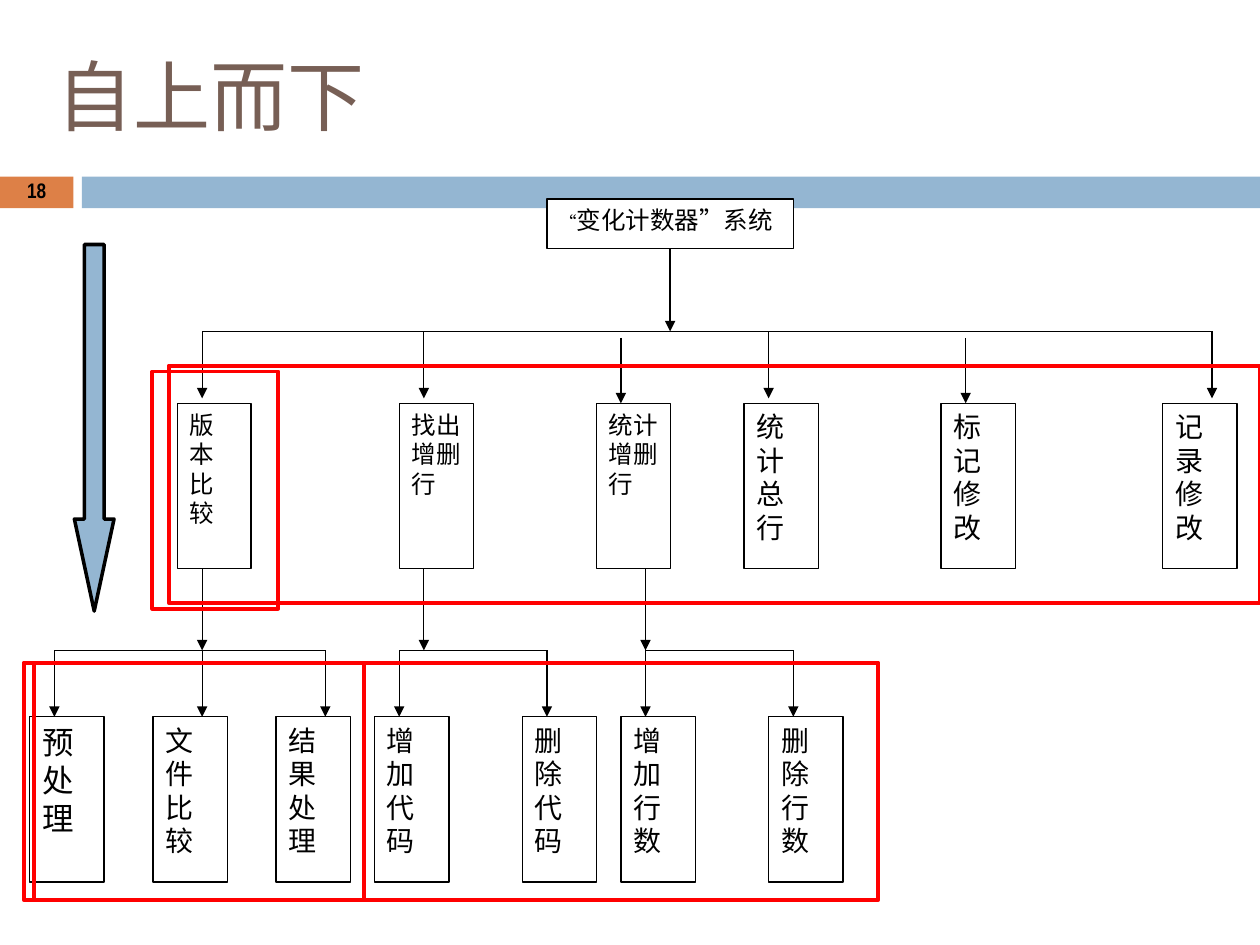
from lxml import etree
from pptx import Presentation
from pptx import util as u
from pptx.dml.color import RGBColor
from pptx.enum import shapes, text
from pptx.oxml import ns

BLACK = RGBColor(0x00, 0x00, 0x00)
WHITE = RGBColor(0xFF, 0xFF, 0xFF)
RED = RGBColor(0xFF, 0x00, 0x00)
BLUE = RGBColor(0x94, 0xB6, 0xD2)
ORANGE = RGBColor(0xDD, 0x80, 0x47)
BROWN = RGBColor(0x77, 0x5F, 0x55)

CJK = "Noto Sans CJK SC"
SERIF = "Times New Roman"
KIND = shapes.MSO_SHAPE

ROOT_TOP, ROOT_HEIGHT = 4.01, 1
UPPER_BUS, UPPER_TOP = 6.68, 8.13
LOWER_BUS, LOWER_TOP = 13.11, 14.45
BOX_WIDTH, BOX_HEIGHT = 1.5, 3.33

UPPER_BOXES = [
    (6, ["版本", "比较"], 14, 1.48),
    (15, ["找出", "增删行"], 14, BOX_WIDTH),
    (23, ["统计", "增删行"], 14, BOX_WIDTH),
    (29, ["统计总行"], 16, BOX_WIDTH),
    (37, ["标记修改"], 16, BOX_WIDTH),
    (46, ["记录", "修改"], 16, BOX_WIDTH),
]
LOWER_BOXES = [
    (0, ["预处理"], 18),
    (5, ["文件比较"], 16),
    (10, ["结果处理"], 16),
    (14, ["增加", "代码"], 16),
    (20, ["删除代码"], 16),
    (24, ["增加", "行数"], 16),
    (30, ["删除", "行数"], 16),
]
UPPER_ARROWS = [(7, 6.68, 8.03), (16, 6.68, 8.03), (26, 5.02, 6.68), (30, 6.68, 8.03),
                (48, 6.68, 8.03), (24, 6.81, 8.13), (38, 6.81, 8.13)]
BRANCHES = [(7, [1, 7, 12]), (16, [15, 21]), (25, [25, 31])]
FRAMES = [(3.4, 7.37, 22), (0.69, 13.36, 17.02), (3.07, 7.49, 2.54), (0.48, 13.36, 6.86)]


def column(index):
    return 0.6 + 22.84 * index / 46


class Diagram:
    def __init__(self, slide):
        self.slide = slide
        self.insets = {
            "word_wrap": True,
            "margin_left": u.Cm(0.25), "margin_right": u.Cm(0.25),
            "margin_top": u.Cm(0.13), "margin_bottom": u.Cm(0.13),
        }

    def apply(self, target, values):
        for name, value in values.items():
            setattr(target, name, value)

    def add_text(self, shape, paragraphs, color=BLACK, latin=SERIF, bold=False,
                 anchor=text.MSO_ANCHOR.TOP, **layout):
        frame = shape.text_frame
        self.apply(frame, {**self.insets, "vertical_anchor": anchor})
        for index, runs in enumerate(paragraphs):
            paragraph = frame.add_paragraph() if index else frame.paragraphs[0]
            self.apply(paragraph, layout)
            for content, size in runs:
                run = paragraph.add_run()
                run.text = content
                self.apply(run.font, {"name": latin, "size": u.Pt(size), "bold": bold})
                run.font.color.rgb = color
                east_asian = etree.SubElement(run.font._element, ns.qn("a:ea"))
                east_asian.set("typeface", CJK)

    def shape(self, kind, left, top, width, height, fill=None, line=None, weight=0.75):
        shape = self.slide.shapes.add_shape(
            kind, u.Cm(left), u.Cm(top), u.Cm(width), u.Cm(height))
        shape.shadow.inherit = False
        if fill is None:
            shape.fill.background()
        else:
            shape.fill.solid()
            shape.fill.fore_color.rgb = fill
        if line is None:
            shape.line.fill.background()
        else:
            shape.line.color.rgb = line
            shape.line.width = u.Pt(weight)
        return shape

    def box(self, left, top, width, height, paragraphs):
        shape = self.shape(KIND.RECTANGLE, left, top, width, height, WHITE, BLACK)
        self.add_text(shape, paragraphs, alignment=text.PP_ALIGN.JUSTIFY)

    def label(self, left, top, width, height, content, size, **style):
        shape = self.slide.shapes.add_textbox(
            u.Cm(left), u.Cm(top), u.Cm(width), u.Cm(height))
        self.add_text(shape, [[(content, size)]], **style)

    def line(self, start_x, start_y, end_x, end_y, arrow=False):
        connector = self.slide.shapes.add_connector(
            shapes.MSO_CONNECTOR.STRAIGHT,
            u.Cm(start_x), u.Cm(start_y), u.Cm(end_x), u.Cm(end_y))
        connector.line.color.rgb = BLACK
        connector.line.width = u.Pt(0.75)
        properties = connector._element.spPr
        if arrow:
            tail = etree.SubElement(properties.find(ns.qn("a:ln")), ns.qn("a:tailEnd"))
            tail.set("type", "triangle")
        etree.SubElement(properties, ns.qn("a:effectLst"))

    def arrow_down(self, index, top, bottom):
        self.line(column(index), top, column(index), bottom, arrow=True)

    def bus(self, first, last, top):
        self.line(column(first), top, column(last), top)


def main():
    presentation = Presentation()
    presentation.slide_width, presentation.slide_height = u.Cm(25.4), u.Cm(19.05)
    diagram = Diagram(presentation.slides.add_slide(presentation.slide_layouts[6]))

    diagram.shape(KIND.RECTANGLE, 0, 3.56, 1.48, 0.64, ORANGE)
    diagram.shape(KIND.RECTANGLE, 1.65, 3.56, 23.75, 0.64, BLUE)
    diagram.label(0.89, 0.84, 21.59, 3.18, "自上而下", 44, color=BROWN, latin=CJK)
    diagram.label(0, 3.53, 1.48, 0.69, "18", 12, latin="Arial Narrow", bold=True,
                  anchor=text.MSO_ANCHOR.MIDDLE,
                  alignment=text.PP_ALIGN.CENTER, line_spacing=0.8)

    diagram.box(column(21), ROOT_TOP, 4.97, ROOT_HEIGHT,
                [[("“", 10), ("变化计数器”系统", 14)]])
    diagram.bus(7, 48, UPPER_BUS)
    for index, top, bottom in UPPER_ARROWS:
        diagram.arrow_down(index, top, bottom)
    for index, lines, size, width in UPPER_BOXES:
        diagram.box(column(index), UPPER_TOP, width, BOX_HEIGHT,
                    [[(line, size)] for line in lines])
    for index, lines, size in LOWER_BOXES:
        diagram.box(column(index), LOWER_TOP, BOX_WIDTH, BOX_HEIGHT,
                    [[(line, size)] for line in lines])
    for parent, children in BRANCHES:
        diagram.arrow_down(parent, UPPER_TOP + BOX_HEIGHT, LOWER_BUS)
        diagram.bus(children[0], children[-1], LOWER_BUS)
        for child in children:
            diagram.arrow_down(child, LOWER_BUS, LOWER_TOP)

    direction = diagram.shape(KIND.DOWN_ARROW, 1.5, 4.93, 0.8, 7.39, BLUE, BLACK, 2)
    direction.adjustments[0] = 0.5
    direction.adjustments[1] = 2.32
    for left, top, width in FRAMES:
        diagram.shape(KIND.RECTANGLE, left, top, width, 4.78, line=RED, weight=2.25)

    presentation.save("out.pptx")


if __name__ == "__main__":
    main()
